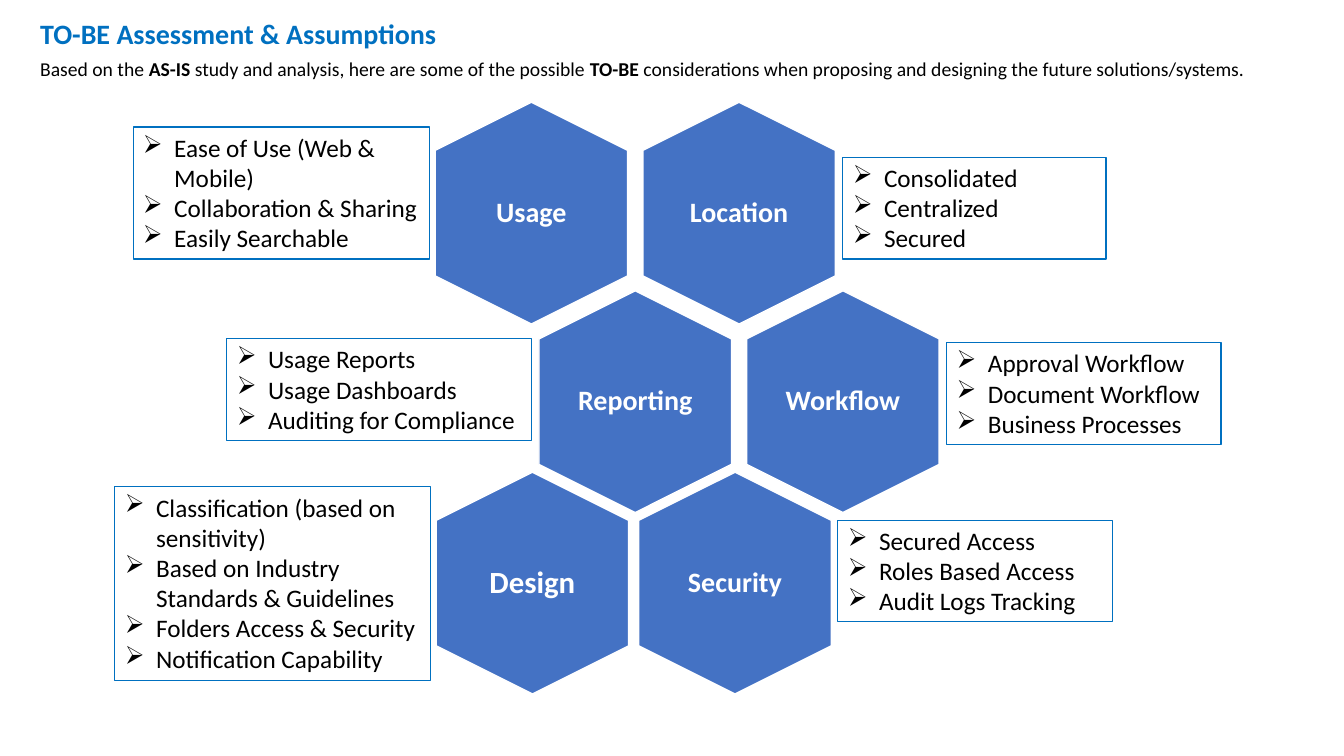
import dataclasses

import lxml.etree
import pptx
import pptx.dml.color
import pptx.enum.shapes
import pptx.enum.text
import pptx.oxml.ns
import pptx.util

Inches = pptx.util.Inches
Pt = pptx.util.Pt
ALIGN = pptx.enum.text.PP_ALIGN
ANCHOR = pptx.enum.text.MSO_ANCHOR


def rgb(code):
    return pptx.dml.color.RGBColor.from_string(code)


@dataclasses.dataclass(frozen=True)
class Theme:
    font: str = "Calibri"
    accent: str = "0070C0"
    hexagon: str = "4472C4"
    light: str = "FFFFFF"
    dark: str = "000000"
    title: int = 20
    subtitle: int = 14
    label: int = 20
    label_large: int = 22
    item: int = 18


def write(tf, text, *, font, size, color, bold=False, align=ALIGN.LEFT, spacing=1.0, bullet=None):
    for i, line in enumerate(text.split("\n")):
        p = tf.paragraphs[0] if i == 0 else tf.add_paragraph()
        p.alignment = align
        p.line_spacing = spacing
        if bullet:
            pPr = p._p.get_or_add_pPr()
            pPr.set("marL", str(Inches(0.31)))
            pPr.set("indent", str(-Inches(0.31)))
            tag = pptx.oxml.ns.qn("a:buChar")
            lxml.etree.SubElement(pPr, tag).set("char", bullet)
        for j, part in enumerate(line.split("**")):
            if part:
                r = p.add_run()
                r.text = part
                r.font.name = font
                r.font.size = Pt(size)
                r.font.bold = bold or j % 2 == 1
                r.font.color.rgb = rgb(color)


class Deck:
    """Draws themed elements on the current slide."""

    def __init__(self, prs, theme):
        self.theme = theme
        self.s = prs.slides.add_slide(prs.slide_layouts[6])

    def text(self, box, text, *, inset=None, anchor=ANCHOR.TOP, grow=True, **fmt):
        sp = self.s.shapes.add_textbox(*map(Inches, box))
        tf = sp.text_frame
        tf.word_wrap = True
        tf.vertical_anchor = anchor
        if grow:
            tf.auto_size = pptx.enum.text.MSO_AUTO_SIZE.SHAPE_TO_FIT_TEXT
        if inset is not None:
            tf.margin_left = tf.margin_right = Inches(inset)
            tf.margin_top = tf.margin_bottom = Inches(inset)
        write(tf, text, font=self.theme.font, **fmt)
        return sp

    def hexagon(self, x, y, label, size):
        t = self.theme
        sp = self.s.shapes.add_shape(
            pptx.enum.shapes.MSO_SHAPE.HEXAGON, Inches(x), Inches(y), Inches(2.2), Inches(1.91))
        sp.rotation = 90
        sp.adjustments[0] = 0.25
        sp.shadow.inherit = False
        sp.fill.solid()
        sp.fill.fore_color.rgb = rgb(t.hexagon)
        sp.line.color.rgb = rgb(t.light)
        sp.line.width = Pt(1)
        self.text((x + 0.44, y + 0.2, 1.32, 1.51), label, inset=0, anchor=ANCHOR.MIDDLE,
                  grow=False, size=size, color=t.light, bold=True, align=ALIGN.CENTER, spacing=0.9)

    def bullets(self, box, items):
        t = self.theme
        sp = self.text(box, "\n".join(items), size=t.item, color=t.dark, bullet="➢")
        sp.line.color.rgb = rgb(t.accent)
        sp.line.width = Pt(0.75)


def main():
    prs = pptx.Presentation()
    prs.slide_width, prs.slide_height = Inches(13.33), Inches(7.5)
    t = Theme()
    deck = Deck(prs, t)

    deck.text((0.3, 0.11, 10.97, 0.44), "TO-BE Assessment & Assumptions",
              size=t.title, color=t.accent, bold=True)
    deck.text((0.3, 0.52, 12.94, 2.22),
              "Based on the **AS-IS** study and analysis, here are some of the possible **TO-BE** "
              "considerations when proposing and designing the future solutions/systems.",
              size=t.subtitle, color=t.dark)

    topics = [
        ("Location", 6.23, 1.16, t.label, (8.36, 1.56, 2.61, 1.01),
         ["Consolidated", "Centralized", "Secured"]),
        ("Usage", 4.17, 1.16, t.label, (1.32, 1.26, 2.94, 1.31),
         ["Ease of Use (Web & Mobile)", "Collaboration & Sharing", "Easily Searchable"]),
        ("Reporting", 5.2, 3.03, t.label, (2.25, 3.36, 3.02, 1.01),
         ["Usage Reports", "Usage Dashboards", "Auditing for Compliance"]),
        ("Workflow", 7.26, 3.03, t.label, (9.39, 3.4, 2.72, 1.01),
         ["Approval Workflow", "Document Workflow", "Business Processes"]),
        ("Security", 6.19, 4.83, t.label, (8.31, 5.16, 2.72, 1.01),
         ["Secured Access", "Roles Based Access", "Audit Logs Tracking"]),
        ("Design", 4.18, 4.83, t.label_large, (1.14, 4.83, 3.13, 1.92),
         ["Classification (based on sensitivity)", "Based on Industry Standards & Guidelines",
          "Folders Access & Security", "Notification Capability"]),
    ]
    for label, x, y, size, box, items in topics:
        deck.hexagon(x, y, label, size)
        deck.bullets(box, items)

    prs.save("out.pptx")


if __name__ == "__main__":
    main()
